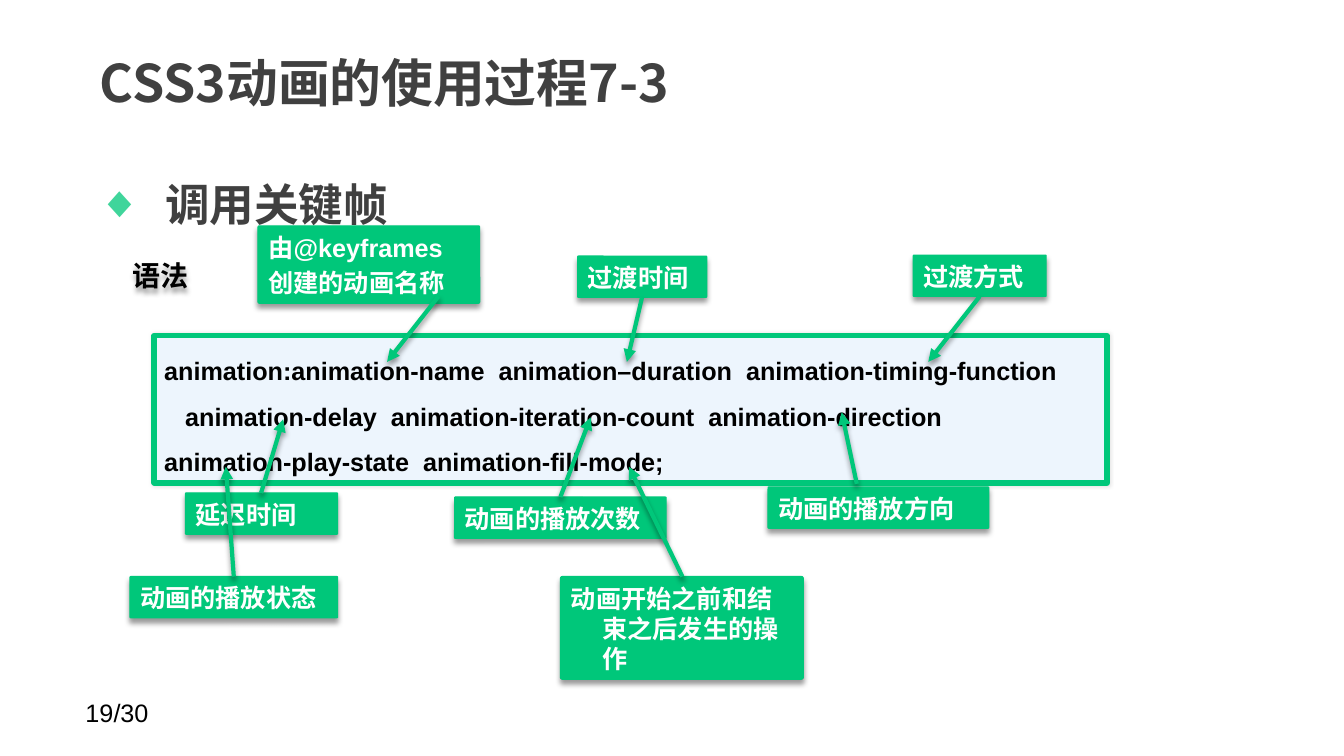
from lxml.etree import SubElement
from pptx import Presentation
from pptx.dml.color import RGBColor
from pptx.enum.shapes import MSO_CONNECTOR, MSO_SHAPE
from pptx.enum.text import MSO_ANCHOR, MSO_AUTO_SIZE, PP_ALIGN
from pptx.oxml.ns import qn
from pptx.util import Pt

COLORS = {"green": "00C77A", "bullet": "40D59B", "code": "EDF5FD",
          "heading": "404040", "text": "000000", "white": "FFFFFF"}
SANS, LATIN = "Noto Sans CJK SC", "Arial"

CODE_LINES = [
    "animation:animation-name  animation–duration  animation-timing-function",
    "   animation-delay  animation-iteration-count  animation-direction",
    "animation-play-state  animation-fill-mode;",
]
CALLOUTS = [
    (["由@keyframes", "创建的动画名称"], (184.3, 161.3, 158.4, 55.4), (313.2, 211.7), (276.5, 258.5)),
    (["过渡时间"], (412.6, 182.9, 92.2, 29.5), (458.6, 212.4), (447.8, 258.5)),
    (["过渡方式"], (652.3, 182.2, 95, 29.5), (699.8, 211.7), (663.1, 258.5)),
    (["延迟时间"], (132.5, 352.1, 108.7, 29.5), (186.5, 352.1), (202.3, 299.5)),
    (["动画的播放次数"], (324.7, 355, 151.2, 29.5), (400.3, 355), (421.9, 298.1)),
    (["动画的播放方向"], (548.6, 347.8, 157.7, 29.5), (612, 345.6), (601.2, 294.5)),
    (["动画的播放状态"], (92.9, 411.8, 148.3, 29.5), (167, 411.8), (161.3, 333.4)),
    (["动画开始之前和结束之后发生的操作"], (400.3, 411.8, 173.5, 73.4), (487.4, 411.8), (449.3, 333.4)),
]


def rgb(name):
    return RGBColor.from_string(COLORS[name])


def place(sp, box):
    sp.left, sp.top, sp.width, sp.height = [Pt(v) for v in box]


def add_run(p, text, size, font, color, bold=True):
    r = p.add_run()
    r.text = text
    r.font.size, r.font.bold, r.font.name = Pt(size), bold, font
    r.font.color.rgb = rgb(color)
    SubElement(r.font._element, qn("a:ea"), typeface=font)


def set_frame(tf, anchor, inset_x=7.2, inset_y=3.6, wrap=True):
    tf.auto_size = MSO_AUTO_SIZE.NONE
    tf.word_wrap = wrap
    tf.vertical_anchor = anchor
    tf.margin_left = tf.margin_right = Pt(inset_x)
    tf.margin_top = tf.margin_bottom = Pt(inset_y)


def set_indent(p, indent):
    pPr = p._p.get_or_add_pPr()
    pPr.set("marL", str(Pt(indent)))
    pPr.set("indent", str(-Pt(indent)))
    return pPr


def add_shadow(sp, alpha, blur, dist, angle):
    effects = SubElement(sp._element.spPr, qn("a:effectLst"))
    shadow = SubElement(effects, qn("a:outerShdw"), blurRad=str(Pt(blur)), dist=str(Pt(dist)),
                        dir=str(angle * 60000), algn="ctr", rotWithShape="0")
    clr = SubElement(shadow, qn("a:srgbClr"), val=COLORS["text"])
    SubElement(clr, qn("a:alpha"), val=str(alpha * 1000))


def add_panel(s, box, fill, line_width, radius):
    sp = s.shapes.add_shape(MSO_SHAPE.ROUNDED_RECTANGLE, *[Pt(v) for v in box])
    sp.adjustments[0] = radius
    sp.fill.solid()
    sp.fill.fore_color.rgb = rgb(fill)
    sp.line.color.rgb = rgb("green")
    sp.line.width = Pt(line_width)
    return sp


def add_title(s, box):
    sp = s.shapes.title
    place(sp, box)
    set_frame(sp.text_frame, MSO_ANCHOR.MIDDLE, 9.4, 4.3)
    p = sp.text_frame.paragraphs[0]
    p.alignment = PP_ALIGN.LEFT
    add_run(p, "CSS3动画的使用过程7-3", 37, SANS, "heading")


def add_body(s, box):
    sp = s.placeholders[1]
    place(sp, box)
    set_frame(sp.text_frame, MSO_ANCHOR.TOP, 9.4, 4.3)
    p = sp.text_frame.paragraphs[0]
    p.line_spacing, p.space_before = 1.5, Pt(0)
    pPr = set_indent(p, 48)
    clr = SubElement(pPr, qn("a:buClr"))
    SubElement(clr, qn("a:srgbClr"), val=COLORS["bullet"])
    SubElement(pPr, qn("a:buChar"), char="◆")
    add_run(p, "调用关键帧", 31.8, SANS, "heading")


def add_code(s, box):
    sp = add_panel(s, box, "code", 4, 0)
    add_shadow(sp, 10, 3, 0, 0)
    tf = sp.text_frame
    set_frame(tf, MSO_ANCHOR.TOP)
    for i, line in enumerate(CODE_LINES):
        p = tf.add_paragraph() if i else tf.paragraphs[0]
        p.alignment, p.line_spacing = PP_ALIGN.LEFT, 1.5
        tabs = SubElement(p._p.get_or_add_pPr(), qn("a:tabLst"))
        SubElement(tabs, qn("a:tab"), pos=str(Pt(35.3)), algn="l")
        add_run(p, line, 18, LATIN, "text")


def add_callout(s, lines, box, start, tip):
    sp = add_panel(s, box, "green", 0.75, 0.018)
    add_shadow(sp, 40, 4, 3, 90)
    tf = sp.text_frame
    set_frame(tf, MSO_ANCHOR.BOTTOM)
    for i, line in enumerate(lines):
        p = tf.add_paragraph() if i else tf.paragraphs[0]
        p.alignment = PP_ALIGN.LEFT
        p.space_before = Pt(3.6 if i else 0)
        set_indent(p, 22.5)
        add_run(p, line, 18, LATIN, "white")
    arrow = s.shapes.add_connector(MSO_CONNECTOR.STRAIGHT, *[Pt(v) for v in start + tip])
    arrow.line.color.rgb = rgb("green")
    arrow.line.width = Pt(3)
    SubElement(arrow.line._get_or_add_ln(), qn("a:tailEnd"), type="triangle")
    add_shadow(arrow, 40, 4, 3, 90)


def add_label(s, box, text, size, font, anchor, bold, wrap):
    sp = s.shapes.add_textbox(*[Pt(v) for v in box])
    set_frame(sp.text_frame, anchor, wrap=wrap)
    add_run(sp.text_frame.paragraphs[0], text, size, font, "text", bold)
    return sp


def main():
    prs = Presentation()
    prs.slide_width, prs.slide_height = Pt(960), Pt(540)
    s = prs.slides.add_slide(prs.slide_layouts[1])
    add_title(s, (61.9, 21.6, 749.5, 74.2))
    add_body(s, (60.5, 103, 841.7, 379.4))
    add_label(s, (54, 494.6, 167.8, 28.8), "19/30", 18, LATIN, MSO_ANCHOR.TOP, False, True)
    add_code(s, (110.2, 239.8, 680.4, 105.1))
    for callout in CALLOUTS:
        add_callout(s, *callout)
    syntax = add_label(s, (87.8, 180.7, 55.4, 31.7), "语法", 20, SANS, MSO_ANCHOR.MIDDLE, True, False)
    add_shadow(syntax, 40, 4, 3, 90)
    prs.save("out.pptx")


if __name__ == "__main__":
    main()
